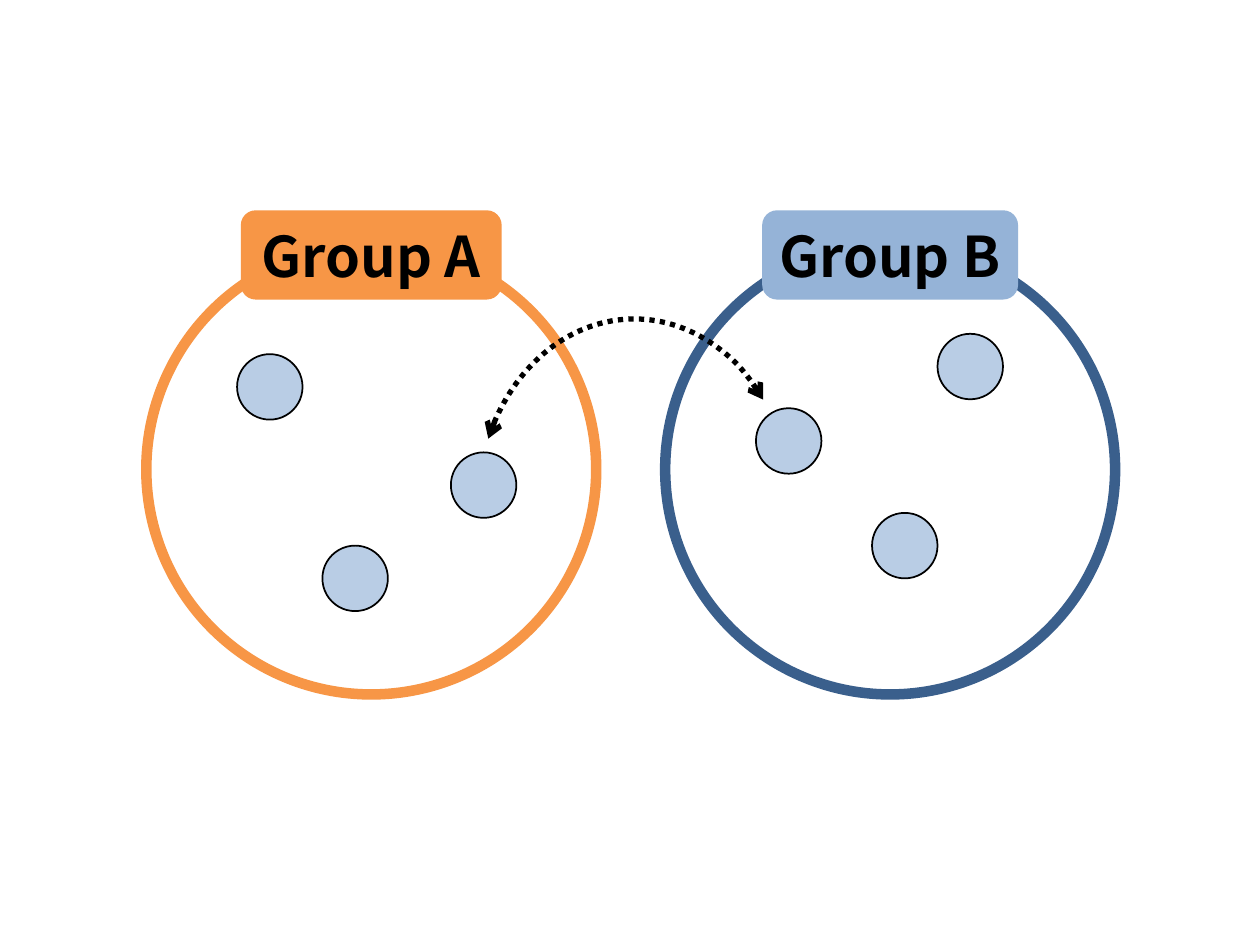
from lxml import etree
from pptx import Presentation
from pptx import util as u
from pptx.dml.color import RGBColor
from pptx.enum import dml, shapes, text
from pptx.oxml.ns import qn

COLORS = {
    "orange": "F79646",
    "navy": "3A5F8C",
    "blue": "95B3D7",
    "pale": "B9CDE5",
    "black": "000000",
}
RING_SIZE, RING_TOP = 9.07, 4.93
LABEL_TOP, LABEL_HEIGHT = 4.24, 1.8
DOT_SIZE = 1.32

# name, ring left, ring colour, label width, label colour, dot positions
GROUPS = [
    ("Group A", 2.95, "orange", 5.26, "orange",
     [(4.78, 7.14), (9.09, 9.12), (6.5, 11)]),
    ("Group B", 13.41, "navy", 5.16, "blue",
     [(18.9, 6.73), (15.24, 8.23), (17.58, 10.34)]),
]


def rgb(name):
    return RGBColor.from_string(COLORS[name])


def write_text(shape, content, *, font, size, color, bold=False):
    frame = shape.text_frame
    frame.word_wrap = False
    frame.auto_size = text.MSO_AUTO_SIZE.SHAPE_TO_FIT_TEXT
    frame.vertical_anchor = text.MSO_ANCHOR.MIDDLE
    paragraph = frame.paragraphs[0]
    paragraph.alignment = text.PP_ALIGN.CENTER
    run = paragraph.add_run()
    run.text = content
    run.font.name = font
    run.font.size = u.Pt(size)
    run.font.bold = bold
    run.font.color.rgb = rgb(color)


class Diagram:
    font = "Noto Sans CJK KR"
    label_size = 32

    def __init__(self, slide):
        self.slide = slide

    def outline(self, kind, left, top, width, height,
                fill=None, line=None, line_width=1):
        """Add a preset shape; no fill or line unless a colour is named."""
        shape = self.slide.shapes.add_shape(
            kind, u.Cm(left), u.Cm(top), u.Cm(width), u.Cm(height))
        shape.shadow.inherit = False
        if fill:
            shape.fill.solid()
            shape.fill.fore_color.rgb = rgb(fill)
        else:
            shape.fill.background()
        if line:
            shape.line.color.rgb = rgb(line)
            shape.line.width = u.Pt(line_width)
        else:
            shape.line.fill.background()
        return shape

    def ring(self, left, color):
        self.outline(shapes.MSO_SHAPE.OVAL, left, RING_TOP, RING_SIZE, RING_SIZE,
                     line=color, line_width=6)

    def label(self, content, ring_left, width, color):
        """Add a group name centred over its ring."""
        left = ring_left + (RING_SIZE - width) / 2
        shape = self.outline(shapes.MSO_SHAPE.ROUNDED_RECTANGLE, left, LABEL_TOP,
                             width, LABEL_HEIGHT, fill=color)
        write_text(shape, content, font=self.font, size=self.label_size,
                   color="black", bold=True)

    def dot(self, left, top):
        self.outline(shapes.MSO_SHAPE.OVAL, left, top, DOT_SIZE, DOT_SIZE,
                     fill="pale", line="black")

    def dotted_arc(self, left, top, width, height, start, end):
        """Add a double-headed arc between two angles in degrees."""
        arc = self.outline(shapes.MSO_SHAPE.ARC, left, top, width, height,
                           line="black", line_width=3)
        for index, degrees in enumerate((start, end)):
            arc.adjustments[index] = degrees * 60000 / 100000
        arc.line.dash_style = dml.MSO_LINE.ROUND_DOT
        line = arc.line._get_or_add_ln()
        for end_name in ("a:headEnd", "a:tailEnd"):
            etree.SubElement(line, qn(end_name), type="arrow")


def main():
    presentation = Presentation()
    presentation.slide_width = u.Cm(25.4)
    presentation.slide_height = u.Cm(19.05)
    blank_layout = presentation.slide_layouts[6]
    diagram = Diagram(presentation.slides.add_slide(blank_layout))

    for _, ring_left, ring_color, *_ in GROUPS:
        diagram.ring(ring_left, ring_color)
    for name, ring_left, _, width, label_color, _ in GROUPS:
        diagram.label(name, ring_left, width, label_color)
    for *_, dots in GROUPS:
        for left, top in dots:
            diagram.dot(left, top)
    diagram.dotted_arc(9.63, 6.43, 6.32, 7.57, start=204.97, end=320.28)

    presentation.save("out.pptx")


if __name__ == "__main__":
    main()
